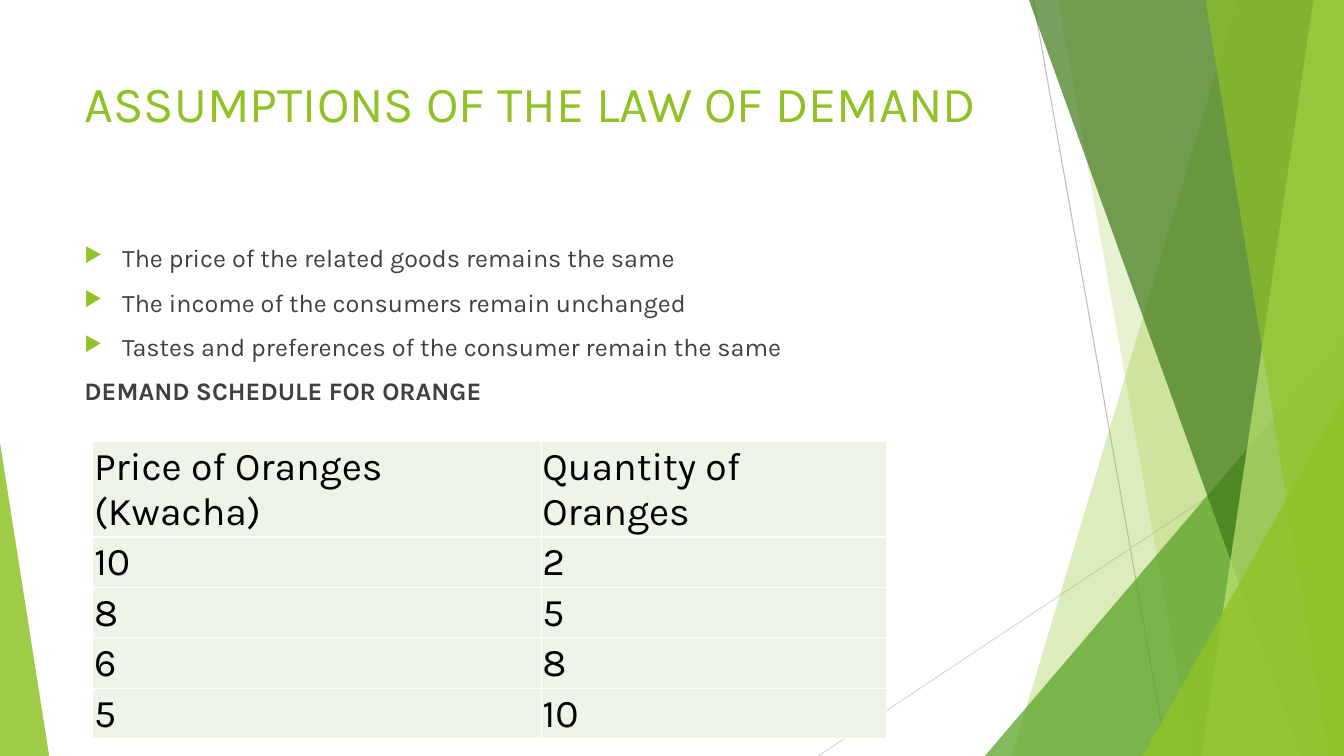
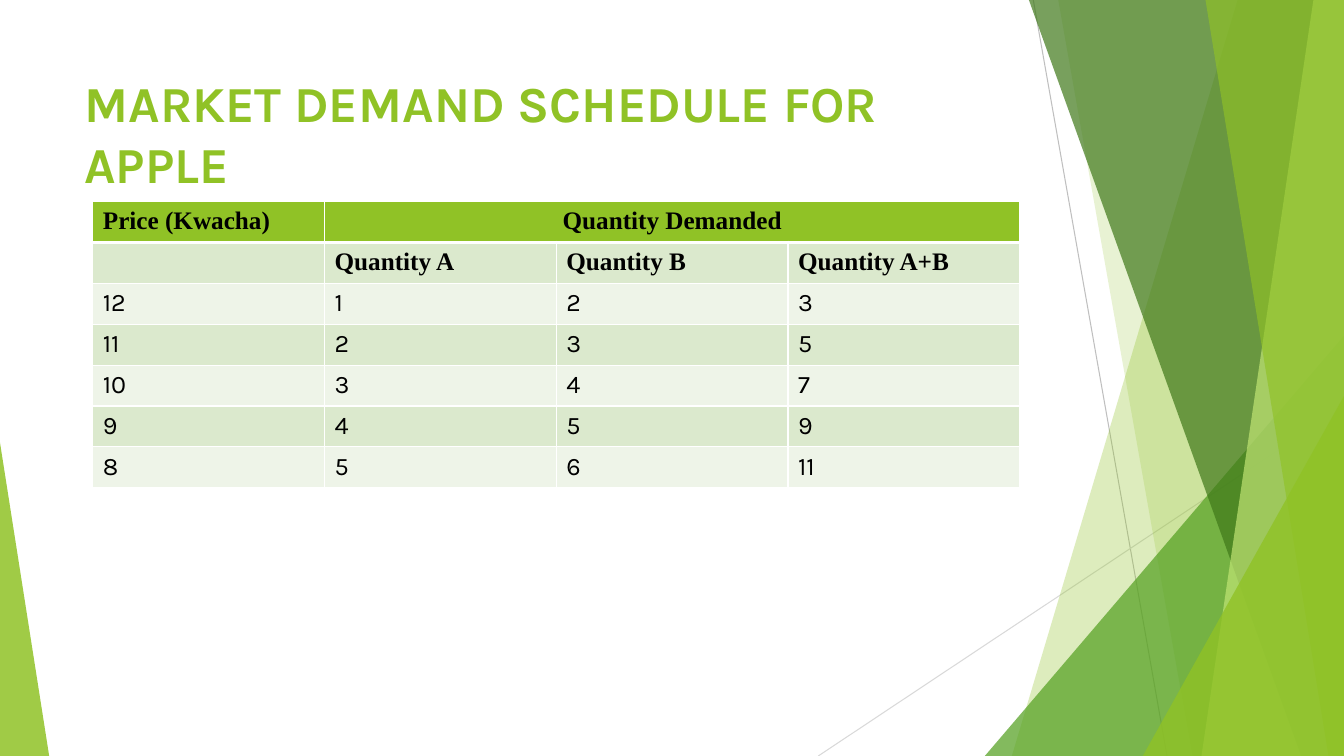
from lxml.etree import SubElement
from pptx import Presentation
from pptx.dml.color import RGBColor
from pptx.enum.shapes import MSO_CONNECTOR as Connector, MSO_SHAPE as Shape
from pptx.enum.text import MSO_ANCHOR as Anchor, PP_ALIGN as Align
from pptx.oxml.ns import qn
from pptx.util import Cm, Pt

LIME = RGBColor(0x90, 0xC2, 0x26)
GREEN = RGBColor(0x54, 0xA0, 0x21)
FOREST = RGBColor(0x3F, 0x78, 0x19)
PALE_LIME = RGBColor(0xC0, 0xE4, 0x74)
BAND_DARK = RGBColor(0xDB, 0xE9, 0xCD)
BAND_LIGHT = RGBColor(0xEE, 0xF4, 0xE8)
WHITE = RGBColor(0xFF, 0xFF, 0xFF)
BLACK = RGBColor(0, 0, 0)
BODY_GREY = RGBColor(0x40, 0x40, 0x40)
LINE_GREY = RGBColor(0xBF, 0xBF, 0xBF)
LINE_PALE = RGBColor(0xD9, 0xD9, 0xD9)

SANS = "Karla"
SERIF = "Times New Roman"
WIDTH, HEIGHT = 33.87, 19.05
TITLE_BOX = (1.88, 1.7, 23.88, 3.66)
BODY_BOX = (1.88, 5.99, 23.88, 10.77)

LINES = [
    (26.04, 0, 29.41, HEIGHT, LINE_GREY),
    (WIDTH, 10.24, 20.62, HEIGHT, LINE_PALE),
]
SHARDS = [
    ("band", 31.19, 25.5, LIME, 30),
    ("band", 26.67, 30.05, LIME, 20),
    ("triangle", 24.82, 8.46, GREEN, 72),
    ("band", 25.93, 32.79, FOREST, 70),
    ("band", 33.1, 30.28, PALE_LIME, 70),
    ("band", 30.38, 33.48, LIME, 65),
    ("triangle", 28.8, 9.98, LIME, 80),
]


def style_font(paragraph, size, color, name=SANS, bold=False):
    font = paragraph.font
    font.size, font.name, font.bold = Pt(size), name, bold
    font.color.rgb = color


def paint(shape, color, opacity):
    shape.shadow.inherit = False
    shape.line.fill.background()
    shape.fill.solid()
    shape.fill.fore_color.rgb = color
    fill_color = shape.fill._xPr.find(qn("a:solidFill"))[0]
    SubElement(fill_color, qn("a:alpha"), val=str(opacity * 1000))


def add_line(page, left, top, right, bottom, color):
    line = page.shapes.add_connector(
        Connector.STRAIGHT, Cm(left), Cm(top), Cm(right), Cm(bottom))
    line.line.color.rgb = color
    line.line.width = Pt(0.75)
    SubElement(line._element.spPr, qn("a:effectLst"))


def add_band(page, top_x, bottom_x, color, opacity):
    outline = page.shapes.build_freeform(Cm(top_x), Cm(0))
    corners = [(WIDTH, 0), (WIDTH, HEIGHT), (bottom_x, HEIGHT)]
    outline.add_line_segments([(Cm(x), Cm(y)) for x, y in corners], close=True)
    paint(outline.convert_to_shape(), color, opacity)


def add_corner(page, left, top, width, peak, color, opacity):
    corner = page.shapes.add_shape(
        Shape.ISOSCELES_TRIANGLE, Cm(left), Cm(top), Cm(width), Cm(HEIGHT - top))
    corner.adjustments[0] = peak
    paint(corner, color, opacity)


def add_backdrop(page):
    for line in LINES:
        add_line(page, *line)
    for kind, first, second, color, opacity in SHARDS:
        if kind == "band":
            add_band(page, first, second, color, opacity)
        else:
            add_corner(page, first, second, WIDTH - first, 1, color, opacity)
    add_corner(page, 0, 11.15, 1.24, 0, LIME, 85)


def add_text_frame(page, box):
    frame = page.shapes.add_textbox(*map(Cm, box)).text_frame
    frame.word_wrap = True
    return frame


def add_title(page, text, bold):
    paragraph = add_text_frame(page, TITLE_BOX).paragraphs[0]
    paragraph.text = text
    style_font(paragraph, 36, LIME, bold=bold)


def add_bullet(paragraph):
    props = paragraph._p.get_or_add_pPr()
    props.set("marL", str(Cm(0.95)))
    props.set("indent", str(-Cm(0.95)))
    SubElement(SubElement(props, qn("a:buClr")), qn("a:srgbClr"), val=str(LIME))
    SubElement(props, qn("a:buSzPct"), val="80000")
    SubElement(props, qn("a:buChar"), char="▶")


def add_body(page, bullets, heading):
    frame = add_text_frame(page, BODY_BOX)
    for index, text in enumerate([*bullets, heading]):
        paragraph = frame.add_paragraph() if index else frame.paragraphs[0]
        paragraph.text = text
        if index:
            paragraph.space_before = Pt(10)
        is_bullet = index < len(bullets)
        if is_bullet:
            add_bullet(paragraph)
        style_font(paragraph, 18, BODY_GREY, bold=not is_bullet)


def add_borders(cell, top=1, bottom=1):
    props = cell._tc.get_or_add_tcPr()
    widths = {"lnL": 1, "lnR": 1, "lnT": top, "lnB": bottom}
    for index, (side, width) in enumerate(widths.items()):
        border = SubElement(props, qn(f"a:{side}"), w=str(Pt(width)))
        fill = SubElement(border, qn("a:solidFill"))
        SubElement(fill, qn("a:srgbClr"), val=str(WHITE))
        props.insert(index, border)


def add_grid(page, left, top, columns, heights, rows):
    grid = page.shapes.add_table(
        len(rows), len(columns), Cm(left), Cm(top),
        Cm(sum(columns)), Cm(sum(heights))).table
    grid.first_row = grid.horz_banding = False
    for column, width in zip(grid.columns, columns):
        column.width = Cm(width)
    for row, height in zip(grid.rows, heights):
        row.height = Cm(height)
    for row, values in zip(grid.rows, rows):
        for cell, value in zip(row.cells, values):
            cell.text = value
    return grid


def fill_cell(cell, color):
    cell.fill.solid()
    cell.fill.fore_color.rgb = color


def add_orange_schedule(page, left, top):
    rows = [("Price of Oranges (Kwacha)", "Quantity of Oranges"),
            ("10", "2"), ("8", "5"), ("6", "8"), ("5", "10")]
    grid = add_grid(page, left, top, [11.3, 8.71], [2.33] + [1.27] * 4, rows)
    for cell in grid.iter_cells():
        cell.margin_left = cell.margin_right = cell.margin_top = Cm(0.03)
        cell.margin_bottom = 0
        cell.vertical_anchor = Anchor.MIDDLE
        fill_cell(cell, BAND_LIGHT)
        add_borders(cell)
        style_font(cell.text_frame.paragraphs[0], 28, BLACK)


def add_apple_schedule(page, left, top):
    rows = [("Price (Kwacha)", "Quantity Demanded", "", ""),
            ("", "Quantity A", "Quantity B", "Quantity A+B")]
    for price, first, second in zip(range(12, 7, -1), range(1, 6), range(2, 7)):
        rows.append([str(n) for n in (price, first, second, first + second)])
    grid = add_grid(page, left, top, [5.84] * 4, [1.03] * len(rows), rows)
    for number, row in enumerate(grid.rows):
        is_heading = number < 2
        band = LIME if number == 0 else BAND_DARK if number % 2 else BAND_LIGHT
        for cell in row.cells:
            fill_cell(cell, band)
            add_borders(cell, top=3 if number == 1 else 1,
                        bottom=3 if number == 0 else 1)
            style_font(cell.text_frame.paragraphs[0], 18, BLACK,
                       SERIF if is_heading else SANS, is_heading)
    grid.cell(0, 1).merge(grid.cell(0, 3))
    grid.cell(0, 1).text_frame.paragraphs[0].alignment = Align.CENTER


def add_page(deck, title, bold=False):
    page = deck.slides.add_slide(deck.slide_layouts[6])
    add_backdrop(page)
    add_title(page, title, bold)
    return page


def add_assumptions_page(deck):
    page = add_page(deck, "ASSUMPTIONS OF THE LAW OF DEMAND")
    add_body(page, [
        "The price of the related goods remains the same",
        "The income of the consumers remain unchanged",
        "Tastes and preferences of the consumer remain the same",
    ], "DEMAND SCHEDULE FOR ORANGE")
    add_orange_schedule(page, 2.34, 11.13)


def add_market_page(deck):
    page = add_page(deck, "MARKET DEMAND SCHEDULE FOR APPLE", bold=True)
    add_apple_schedule(page, 2.34, 5.08)


def main():
    deck = Presentation()
    deck.slide_width, deck.slide_height = Cm(WIDTH), Cm(HEIGHT)
    add_assumptions_page(deck)
    add_market_page(deck)
    deck.save("out.pptx")


if __name__ == "__main__":
    main()
